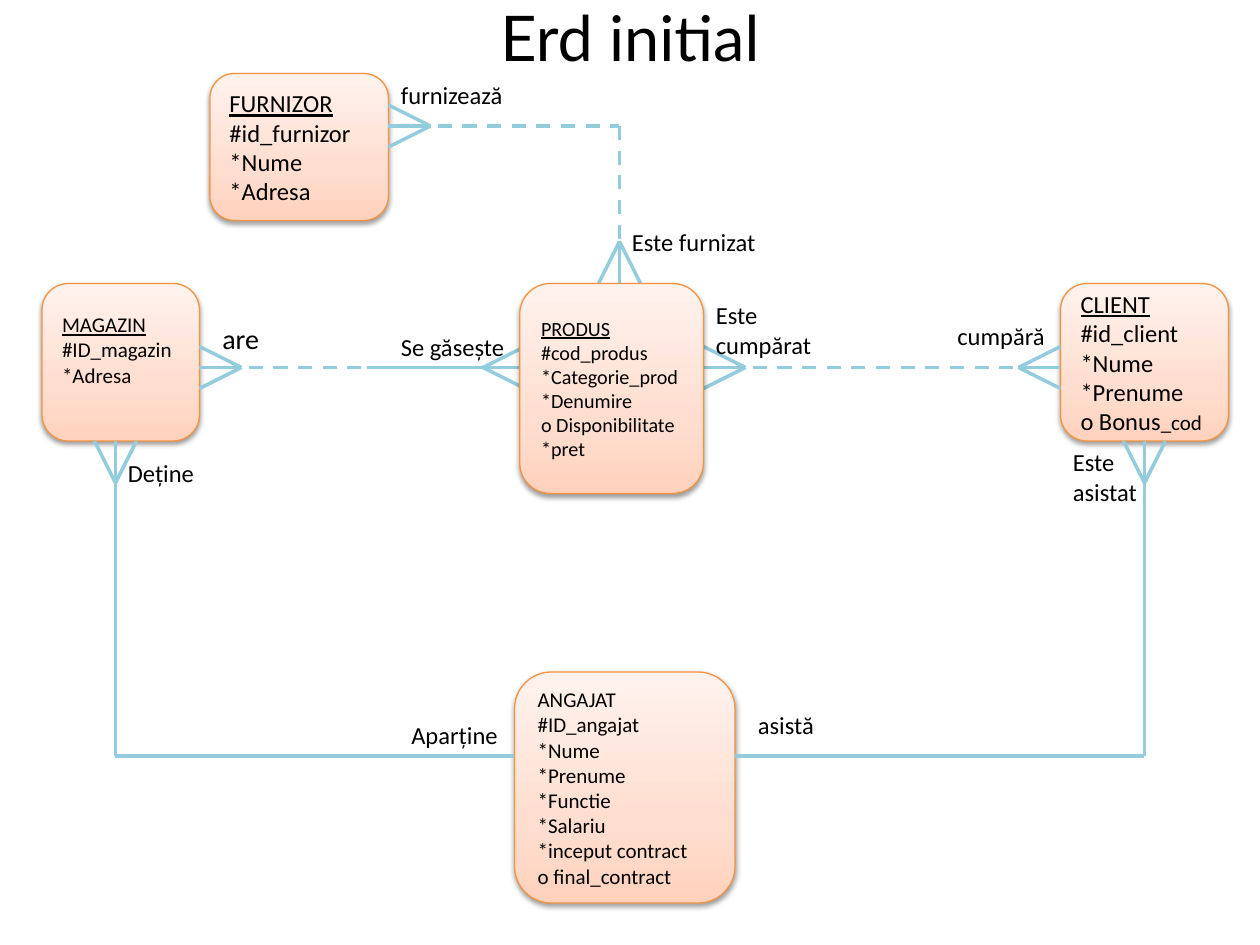
from copy import deepcopy
from dataclasses import dataclass
from typing import Optional

from lxml import etree
from pptx import Presentation
from pptx.dml.color import RGBColor
from pptx.enum.dml import MSO_LINE
from pptx.enum.shapes import MSO_CONNECTOR, MSO_SHAPE
from pptx.enum.text import MSO_ANCHOR, PP_ALIGN
from pptx.oxml.ns import qn
from pptx.util import Inches, Pt

STRAIGHT = MSO_CONNECTOR.STRAIGHT
ROUNDED = MSO_SHAPE.ROUNDED_RECTANGLE
DASH = MSO_LINE.DASH
MIDDLE = MSO_ANCHOR.MIDDLE
TOP = MSO_ANCHOR.TOP
LEFT = PP_ALIGN.LEFT
CENTER = PP_ALIGN.CENTER

BLACK = RGBColor(0x00, 0x00, 0x00)
ORANGE = RGBColor(0xF6, 0x92, 0x40)
LIGHT_BLUE = RGBColor(0x93, 0xCD, 0xDD)
PEACH_STOPS = (
    (0, RGBColor(0xFF, 0xD2, 0xBD)),
    (0.35, RGBColor(0xFF, 0xDE, 0xD0)),
    (1, RGBColor(0xFF, 0xF2, 0xED)),
)

CELLS_PER_INCH = 12
FOOT_LENGTH = 4
FOOT_HALF_WIDTH = 2
BOTTOM_SITE = 2


@dataclass(frozen=True)
class Entity:
    name: str
    attributes: tuple[str, ...]
    column: float
    row: float
    columns: float
    rows: float
    size: float
    underlined: bool = True
    bottom_inset: float = 0.05
    small_ending: str = ""


@dataclass(frozen=True)
class Relation:
    start: tuple[float, float]
    end: tuple[float, float]
    dashed: bool = False


@dataclass(frozen=True)
class CrowFoot:
    apex: tuple[float, float]
    direction: tuple[int, int]
    joined_to: str = ""


@dataclass(frozen=True)
class Label:
    text: str
    column: float
    row: float
    columns: float
    rows: float = 4
    size: float = 14
    font: str = "Calibri"
    align: PP_ALIGN = LEFT
    anchor: MSO_ANCHOR = TOP


ENTITIES = (
    Entity("ANGAJAT", ("#ID_angajat", "*Nume", "*Prenume", "*Functie", "*Salariu",
                       "*inceput contract", "o final_contract"),
           49, 64, 21, 22, 12, underlined=False),
    Entity("FURNIZOR", ("#id_furnizor", "*Nume", "*Adresa"), 20, 7, 17, 14, 14),
    Entity("MAGAZIN", ("#ID_magazin", "*Adresa"), 4, 27, 15, 15, 12, bottom_inset=0.25),
    Entity("CLIENT", ("#id_client", "*Nume", "*Prenume", "o Bonus"),
           101, 27, 16, 15, 14, small_ending="_cod"),
)
PRODUCT = Entity("PRODUS", ("#cod_produs", "*Categorie_prod", "*Denumire",
                            "o Disponibilitate", "*pret"),
                 49.5, 27, 17.5, 20, 11.5)

RELATIONS = (
    Relation((35, 35), (51, 35)),
    Relation((11, 72), (49, 72)),
    Relation((70, 72), (109, 72)),
    Relation((19, 35), (46, 35), dashed=True),
    Relation((37, 12), (59, 12), dashed=True),
    Relation((67, 35), (100, 35), dashed=True),
    Relation((59, 12), (59, 27), dashed=True),
    Relation((11, 45), (11, 72)),
    Relation((109, 45), (109, 72)),
)

CROW_FEET = (
    CrowFoot((97, 35), (1, 0)),
    CrowFoot((46, 35), (1, 0)),
    CrowFoot((59, 23), (0, 1)),
    CrowFoot((11, 46), (0, -1)),
    CrowFoot((109, 46), (0, -1), joined_to="CLIENT"),
    CrowFoot((71, 35), (-1, 0)),
    CrowFoot((23, 35), (-1, 0)),
    CrowFoot((41, 12), (-1, 0)),
)

LABELS = (
    Label("are", 20, 30, 9, size=16),
    Label("Se găsește", 37, 31, 13),
    Label("furnizează", 37, 7, 14),
    Label("Este furnizat", 59, 21, 15),
    Label("Deține", 11, 43, 13),
    Label("Aparține", 38, 68, 12),
    Label("asistă", 71, 67, 14),
    Label("Este asistat", 101, 42, 12, 7),
    Label("cumpără", 90, 30, 13),
    Label("Este cumpărat", 67, 28, 13, 7),
    Label("Erd initial", 6, 1, 108, 5, 36, "Lato", CENTER, MIDDLE),
)


def cells(count: float) -> int:
    return Inches(count / CELLS_PER_INCH)


def add_span(para, text: str, size: float, font: str = "Calibri", underlined: bool = False):
    span = para.add_run()
    span.text = text
    span.font.name = font
    span.font.size = Pt(size)
    span.font.color.rgb = BLACK
    span.font.underline = underlined


def style_box(box):
    box.fill.gradient()
    box.fill.gradient_angle = 90
    properties = box._element.spPr
    stops = properties.find(qn("a:gradFill")).find(qn("a:gsLst"))
    stops.insert(1, deepcopy(stops[0]))
    for stop, (position, color) in zip(box.fill.gradient_stops, PEACH_STOPS):
        stop.position = position
        stop.color.rgb = color
    box.line.color.rgb = ORANGE
    box.line.width = Pt(0.75)
    box.shadow.inherit = False
    shadow = etree.SubElement(properties.find(qn("a:effectLst")), qn("a:outerShdw"),
                              blurRad=str(Pt(3.1)), dist=str(Pt(1.6)),
                              dir="5400000", rotWithShape="0")
    color = etree.SubElement(shadow, qn("a:srgbClr"), val=str(BLACK))
    etree.SubElement(color, qn("a:alpha"), val="38000")


def add_entity(page, entity: Entity):
    box = page.shapes.add_shape(ROUNDED, cells(entity.column), cells(entity.row),
                                cells(entity.columns), cells(entity.rows))
    style_box(box)
    frame = box.text_frame
    frame.word_wrap = True
    frame.vertical_anchor = MIDDLE
    frame.margin_bottom = Inches(entity.bottom_inset)
    for index, text in enumerate((entity.name, *entity.attributes)):
        para = frame.add_paragraph() if index else frame.paragraphs[0]
        para.alignment = LEFT
        add_span(para, text, entity.size, underlined=entity.underlined and index == 0)
    if entity.small_ending:
        add_span(para, entity.small_ending, 12)
    return box


def add_relation(shapes, relation: Relation):
    line = shapes.add_connector(STRAIGHT, *map(cells, relation.start + relation.end))
    line.line.color.rgb = LIGHT_BLUE
    line.line.width = Pt(2)
    if relation.dashed:
        line.line.dash_style = DASH
    etree.SubElement(line._element.spPr, qn("a:effectLst"))
    return line


def add_crow_foot(page, foot: CrowFoot, joined_box: Optional[object]):
    group = page.shapes.add_group_shape()
    (x, y), (across, down) = foot.apex, foot.direction
    for side in (-FOOT_HALF_WIDTH, FOOT_HALF_WIDTH, 0):
        toe = (x + across * FOOT_LENGTH + down * side,
               y + down * FOOT_LENGTH + across * side)
        line = add_relation(group.shapes, Relation(toe, foot.apex))
    if joined_box is not None:
        line.begin_connect(joined_box, BOTTOM_SITE)


def add_label(page, label: Label):
    box = page.shapes.add_textbox(cells(label.column), cells(label.row),
                                  cells(label.columns), cells(label.rows))
    box.text_frame.word_wrap = True
    box.text_frame.vertical_anchor = label.anchor
    para = box.text_frame.paragraphs[0]
    para.alignment = label.align
    add_span(para, label.text, label.size, label.font)


def main():
    deck = Presentation()
    deck.slide_width, deck.slide_height = Inches(10), Inches(7.5)
    page = deck.slides.add_slide(deck.slide_layouts[6])
    boxes = {entity.name: add_entity(page, entity) for entity in ENTITIES}
    for relation in RELATIONS:
        add_relation(page.shapes, relation)
    for foot in CROW_FEET:
        add_crow_foot(page, foot, boxes.get(foot.joined_to))
    for label in LABELS:
        add_label(page, label)
    add_entity(page, PRODUCT)
    deck.save("out.pptx")


if __name__ == "__main__":
    main()
